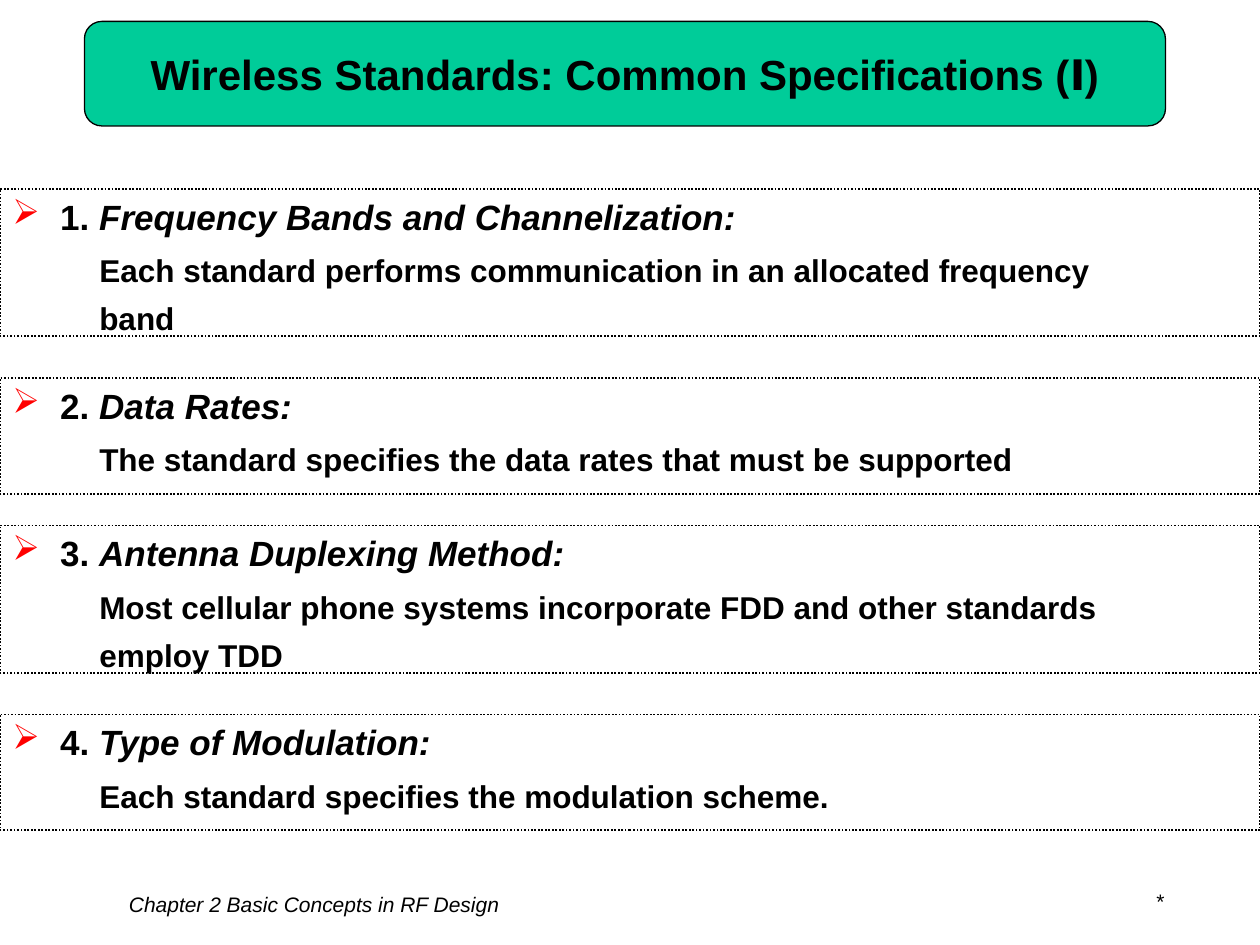
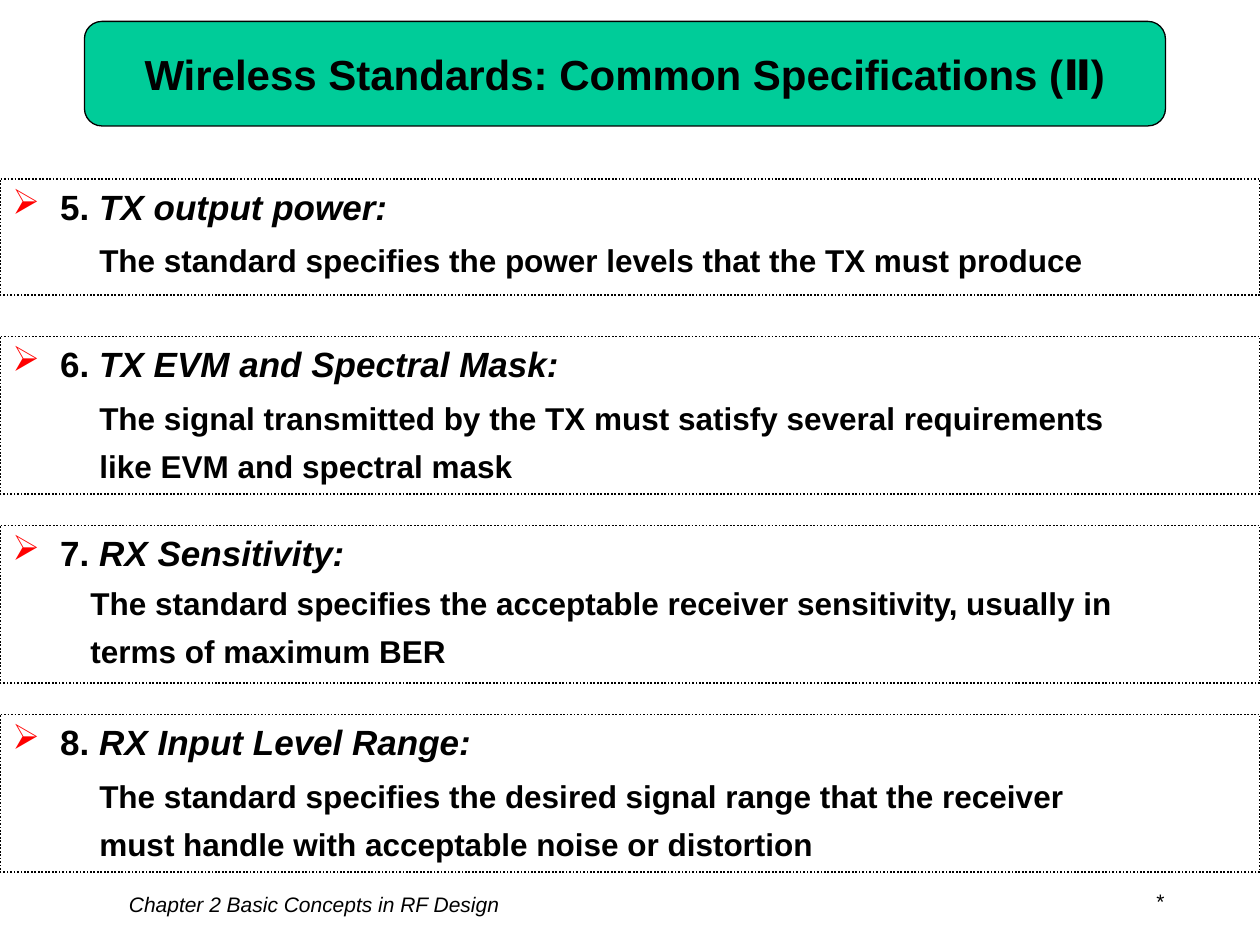
from dataclasses import dataclass

from lxml import etree
from pptx import Presentation
from pptx.dml.color import RGBColor
from pptx.enum.dml import MSO_LINE
from pptx.enum.shapes import MSO_SHAPE
from pptx.enum.text import MSO_ANCHOR, PP_ALIGN
from pptx.oxml.ns import qn
from pptx.util import Inches, Pt

ROUNDED, RECTANGLE = MSO_SHAPE.ROUNDED_RECTANGLE, MSO_SHAPE.RECTANGLE
DOTTED = MSO_LINE.ROUND_DOT
LEFT, CENTER = PP_ALIGN.LEFT, PP_ALIGN.CENTER
TOP, MIDDLE = MSO_ANCHOR.TOP, MSO_ANCHOR.MIDDLE

COLORS = {"banner": "00CC99", "ink": "000000", "bullet": "FF0000"}
FONT = "Arial"
SLIDE_WIDTH, SLIDE_HEIGHT = 10, 7.5
HEADING_INDENT = 0.38


@dataclass(frozen=True)
class Specification:
    """A numbered panel: a bulleted heading and its indented lines."""
    top: float
    height: float
    heading: str
    lines: tuple[str, ...]
    indent: float = 0.69
    heading_gap: float = 8


@dataclass(frozen=True)
class SpecificationSlide:
    title: str
    first_number: int
    specifications: tuple[Specification, ...]


SLIDES = (
    SpecificationSlide("Wireless Standards: Common Specifications (Ⅰ)", 1, (
        Specification(1.5, 1.17, "Frequency Bands and Channelization:", (
            "Each standard performs communication in an allocated frequency",
            "band")),
        Specification(3, 0.92, "Data Rates:", (
            "The standard specifies the data rates that must be supported",)),
        Specification(4.17, 1.17, "Antenna Duplexing Method:", (
            "Most cellular phone systems incorporate FDD and other standards",
            "employ TDD")),
        Specification(5.67, 0.92, "Type of Modulation:", (
            "Each standard specifies the modulation scheme.",)),
    )),
    SpecificationSlide("Wireless Standards: Common Specifications (Ⅱ)", 5, (
        Specification(1.42, 0.92, "TX output power:", (
            "The standard specifies the power levels that the TX must produce",)),
        Specification(2.67, 1.25, "TX EVM and Spectral Mask:", (
            "The signal transmitted by the TX must satisfy several requirements",
            "like EVM and spectral mask")),
        Specification(4.17, 1.25, "RX Sensitivity:", (
            "The standard specifies the acceptable receiver sensitivity, usually in",
            "terms of maximum BER"), indent=0.62, heading_gap=6),
        Specification(5.67, 1.25, "RX Input Level Range:", (
            "The standard specifies the desired signal range that the receiver",
            "must handle with acceptable noise or distortion")),
    )),
)


def rgb(name: str) -> RGBColor:
    return RGBColor.from_string(COLORS[name])


def add_run(paragraph, text: str, size: float, bold: bool = False,
            italic: bool = False) -> None:
    run = paragraph.add_run()
    run.text = text
    font = run.font
    font.name, font.size, font.bold, font.italic = FONT, Pt(size), bold, italic
    font.color.rgb = rgb("ink")


def prepare_text(shape, anchor, alignment):
    """Set up the frame and return its first paragraph."""
    frame = shape.text_frame
    frame.word_wrap = True
    frame.vertical_anchor = anchor
    frame.paragraphs[0].alignment = alignment
    return frame.paragraphs[0]


def add_outlined(slide, preset, left: float, top: float, width: float,
                 height: float, line_width: float):
    shape = slide.shapes.add_shape(
        preset, Inches(left), Inches(top), Inches(width), Inches(height))
    shape.shadow.inherit = False
    shape.line.color.rgb = rgb("ink")
    shape.line.width = Pt(line_width)
    return shape


def set_indent(paragraph, left: float, first: float = 0) -> None:
    properties = paragraph._p.get_or_add_pPr()
    properties.set("marL", str(Inches(left)))
    properties.set("indent", str(Inches(first)))


def add_arrow_bullet(paragraph) -> None:
    properties = paragraph._p.get_or_add_pPr()
    color = etree.SubElement(properties, qn("a:buClr"))
    etree.SubElement(color, qn("a:srgbClr"), val=COLORS["bullet"])
    etree.SubElement(properties, qn("a:buChar"), char="➢")


def add_banner(slide, title: str) -> None:
    banner = add_outlined(slide, ROUNDED, 0.67, 0.17, 8.58, 0.83, 0.75)
    banner.fill.solid()
    banner.fill.fore_color.rgb = rgb("banner")
    add_run(prepare_text(banner, MIDDLE, CENTER), title, 24, bold=True)


def add_footer_text(slide, text: str, left: float, top: float, width: float,
                    italic: bool = False) -> None:
    footer = slide.shapes.add_textbox(
        Inches(left), Inches(top), Inches(width), Inches(0.3))
    add_run(prepare_text(footer, TOP, CENTER), text, 12, italic=italic)


def add_specification(slide, number: int, spec: Specification) -> None:
    panel = add_outlined(slide, RECTANGLE, 0, spec.top, SLIDE_WIDTH, spec.height, 1)
    panel.fill.background()
    panel.line.dash_style = DOTTED

    # Numbered heading
    heading = prepare_text(panel, TOP, LEFT)
    set_indent(heading, HEADING_INDENT, -HEADING_INDENT)
    add_arrow_bullet(heading)
    add_run(heading, f"{number}. ", 20, bold=True)
    add_run(heading, spec.heading, 20, bold=True, italic=True)

    # Explanation
    for index, line in enumerate(spec.lines):
        explanation = panel.text_frame.add_paragraph()
        explanation.alignment = LEFT
        set_indent(explanation, spec.indent)
        explanation.space_before = Pt(6 if index else spec.heading_gap)
        add_run(explanation, line, 18, bold=True)


def main() -> None:
    presentation = Presentation()
    presentation.slide_width = Inches(SLIDE_WIDTH)
    presentation.slide_height = Inches(SLIDE_HEIGHT)
    blank = presentation.slide_layouts[6]
    for content in SLIDES:
        slide = presentation.slides.add_slide(blank)
        add_banner(slide, content.title)
        add_footer_text(slide, "Chapter 2 Basic Concepts in RF Design",
                        0.08, 7.03, 4.83, italic=True)
        add_footer_text(slide, "*", 8.42, 7, 1.58)
        for number, spec in enumerate(content.specifications, content.first_number):
            add_specification(slide, number, spec)
    presentation.save("out.pptx")


if __name__ == "__main__":
    main()
